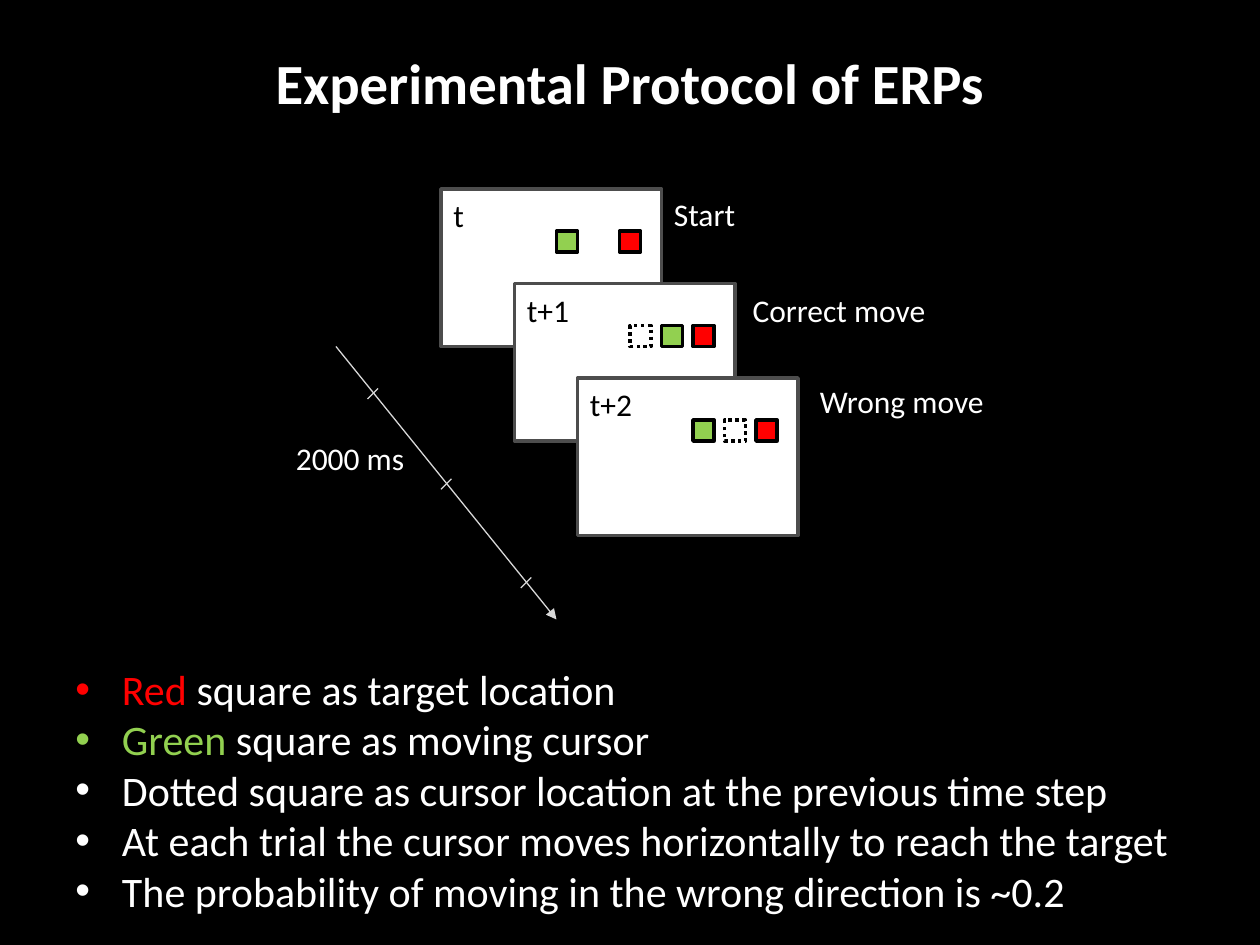
from lxml.etree import SubElement
from pptx import Presentation
from pptx.dml.color import RGBColor as RGB
from pptx.enum.dml import MSO_LINE_DASH_STYLE as DASH
from pptx.enum.shapes import MSO_CONNECTOR as CONN, MSO_SHAPE as SHAPE
from pptx.enum.text import MSO_ANCHOR as ANCHOR, PP_ALIGN as ALIGN
from pptx.oxml.ns import qn
from pptx.util import Inches, Pt

THEME = dict(
    font="Calibri", title=32.4, body=24, label=18,
    back="000000", text="FFFFFF", ink="000000", screen="FFFFFF", frame="4D4D4D",
    axis="D8D8D8", red="FF0000", green="92D050",
    outline=2, thin=0.75,
)

TITLE = "Experimental Protocol of ERPs"
BULLETS = [
    [("Red", "red"), (" square as target location", "text")],
    [("Green", "green"), (" square as moving cursor", "text")],
    [("Dotted square as cursor location at the previous time step", "text")],
    [("At each trial the cursor moves horizontally to reach the target", "text")],
    [("The probability of moving in the wrong direction is ~0.2", "text")],
]
SCREENS = [
    dict(at=(42, 18), time="t", squares={2: "red", 0: "green"},
         label="Start", label_at=(63, 18, 11)),
    dict(at=(49, 27), time="t+1", squares={2: "red", 1: "green", 0: None},
         label="Correct move", label_at=(70.5, 27.1, 19.4)),
    dict(at=(55, 36), time="t+2", squares={2: "red", 1: None, 0: "green"},
         label="Wrong move", label_at=(76.9, 35.8, 18.1)),
]
AXIS = (32, 33, 53, 59)
TICKS = [(36, 37), (43, 45.6), (50.6, 55)]
INTERVAL = ("2000 ms", (27, 41.2, 19.4))

CELLS_PER_INCH = 12
SCREEN_W, SCREEN_H, SQUARE, LABEL_H = 21, 15, 2, 4.8
FIRST_SQUARE, SQUARE_STEP, SQUARE_ROW = 11, 3, 4


def grid(*cells):
    return [Inches(c / CELLS_PER_INCH) for c in cells]


def color(name):
    return RGB.from_string(THEME[name])


def add_text(shapes, box, paragraphs, size):
    tf = shapes.add_textbox(*grid(*box)).text_frame
    tf.word_wrap = True
    for i, runs in enumerate(paragraphs):
        p = tf.add_paragraph() if i else tf.paragraphs[0]
        p.font.name, p.font.size = THEME["font"], Pt(THEME[size])
        for text, tone in runs:
            r = p.add_run()
            r.text = text
            r.font.color.rgb = color(tone)
    return tf


def add_label(shapes, at, text, tone="text"):
    add_text(shapes, (*at, LABEL_H), [[(text, tone)]], "label")


def add_box(shapes, box, fill, line):
    sp = shapes.add_shape(SHAPE.RECTANGLE, *grid(*box))
    sp.shadow.inherit = False
    sp.line.color.rgb = color(line)
    sp.line.width = Pt(THEME["outline"])
    if fill:
        sp.fill.solid()
        sp.fill.fore_color.rgb = color(fill)
    else:
        sp.fill.background()
        sp.line.dash_style = DASH.ROUND_DOT


def add_screen(shapes, at, time, squares, label, label_at):
    x, y = at
    group = shapes.add_group_shape().shapes
    add_box(group, (x, y, SCREEN_W, SCREEN_H), "screen", "frame")
    for col, fill in squares.items():
        left = x + FIRST_SQUARE + col * SQUARE_STEP
        add_box(group, (left, y + SQUARE_ROW, SQUARE, SQUARE), fill, "ink")
    add_label(group, (x, y + 0.1, 8), time, "ink")
    add_label(group, label_at, label)


def add_line(shapes, ends, arrow=False):
    c = shapes.add_connector(CONN.STRAIGHT, *grid(*ends))
    c.line.color.rgb = color("axis")
    c.line.width = Pt(THEME["thin"])
    if arrow:
        SubElement(c.line._get_or_add_ln(), qn("a:tailEnd"), type="triangle")
    SubElement(c._element.spPr, qn("a:effectLst"))


def add_bullet(p):
    pPr = p._p.get_or_add_pPr()
    pPr.set("marL", str(Inches(0.37)))
    pPr.set("indent", str(-Inches(0.37)))
    bullet_font = pPr.makeelement(qn("a:buFont"), {"typeface": "Arial"})
    bullet = pPr.makeelement(qn("a:buChar"), {"char": "•"})
    pPr.insert(0, bullet_font)
    pPr.insert(1, bullet)


def main():
    prs = Presentation()
    prs.slide_width, prs.slide_height = Inches(10), Inches(7.5)
    s = prs.slides.add_slide(prs.slide_layouts[6])
    s.background.fill.solid()
    s.background.fill.fore_color.rgb = color("back")

    tf = add_text(s.shapes, (6, 3.6, 108, 8.4), [[(TITLE, "text")]], "title")
    tf.vertical_anchor = ANCHOR.MIDDLE
    tf.paragraphs[0].alignment = ALIGN.CENTER
    tf.paragraphs[0].font.bold = True

    tf = add_text(s.shapes, (6, 62.6, 109, 24.4), BULLETS, "body")
    for p in tf.paragraphs:
        add_bullet(p)

    for screen in SCREENS:
        add_screen(s.shapes, **screen)

    add_line(s.shapes, AXIS, arrow=True)
    for x, y in TICKS:
        add_line(s.shapes, (x, y, x - 1, y + 1))
    text, at = INTERVAL
    add_label(s.shapes, at, text)

    prs.save("out.pptx")


if __name__ == "__main__":
    main()
